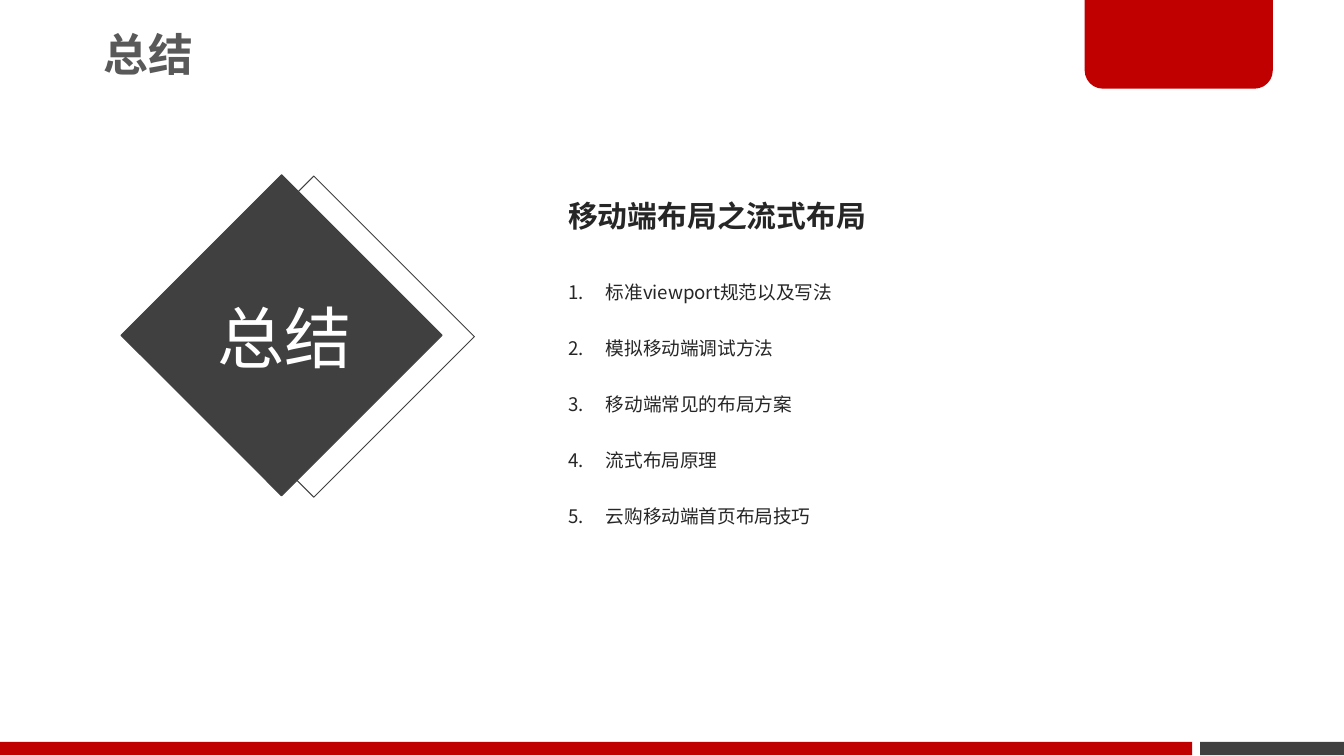
"""Build the summary slide on fluid layout for mobile pages."""
import dataclasses

import lxml.etree
import pptx
import pptx.dml.color
import pptx.enum.shapes
import pptx.enum.text
import pptx.oxml.ns
import pptx.util

Inches = pptx.util.Inches
SHAPE = pptx.enum.shapes.MSO_SHAPE
ALIGN = pptx.enum.text.PP_ALIGN
ANCHOR = pptx.enum.text.MSO_ANCHOR


@dataclasses.dataclass(frozen=True)
class Theme:
    font: str = "Noto Sans CJK SC"
    red: str = "C00000"
    dark: str = "404040"
    gray: str = "595959"
    ink: str = "262626"
    white: str = "FFFFFF"
    title: float = 24
    badge: float = 36
    heading: float = 16
    body: float = 10
    hairline: float = 0.5


def rgb(value):
    return pptx.dml.color.RGBColor.from_string(value)


def child(parent, tag, **attributes):
    return lxml.etree.SubElement(parent, pptx.oxml.ns.qn(tag), **attributes)


def write(p, text, *, font, size, color, bold=False, align=ALIGN.LEFT, spacing=1.0):
    p.alignment = align
    p.line_spacing = spacing
    r = p.add_run()
    r.text = text
    r.font.size = pptx.util.Pt(size)
    r.font.bold = bold
    r.font.color.rgb = rgb(color)
    r.font.name = font
    child(r.font._element, "a:ea", typeface=font)


class SlideBuilder:
    def __init__(self, slide, theme):
        self.s = slide
        self.theme = theme

    def shape(self, kind, x, y, w, h, fill=None, line=None, rotation=0):
        sp = self.s.shapes.add_shape(kind, Inches(x), Inches(y), Inches(w), Inches(h))
        sp.shadow.inherit = False
        sp.rotation = rotation
        if fill:
            sp.fill.solid()
            sp.fill.fore_color.rgb = rgb(fill)
        else:
            sp.fill.background()
        if line:
            sp.line.color.rgb = rgb(line)
            sp.line.width = pptx.util.Pt(self.theme.hairline)
        else:
            sp.line.fill.background()
        return sp

    def tab(self, x, y, w, h, fill):
        sp = self.shape(SHAPE.ROUND_2_SAME_RECTANGLE, x, y, w, h, fill, rotation=180)
        sp.adjustments[0] = 0.2

    def diamond(self, x, y, side, fill=None):
        self.shape(SHAPE.RECTANGLE, x, y, side, side, fill, self.theme.dark, 45)

    def frame(self, x, y, w, h, anchor=ANCHOR.TOP, inset=(0.1, 0.05)):
        tf = self.s.shapes.add_textbox(Inches(x), Inches(y), Inches(w), Inches(h)).text_frame
        tf.word_wrap = True
        tf.vertical_anchor = anchor
        tf.margin_left = tf.margin_right = Inches(inset[0])
        tf.margin_top = tf.margin_bottom = Inches(inset[1])
        return tf

    def label(self, text, x, y, w, h, size, color, anchor=ANCHOR.TOP, inset=(0.1, 0.05), **style):
        tf = self.frame(x, y, w, h, anchor, inset)
        write(tf.paragraphs[0], text, font=self.theme.font, size=size, color=color, **style)

    def numbered_list(self, items, x, y, w, h, indent=0.28):
        tf = self.frame(x, y, w, h)
        for i, item in enumerate(items):
            p = tf.add_paragraph() if i else tf.paragraphs[0]
            write(p, item, font=self.theme.font, size=self.theme.body,
                  color=self.theme.ink, spacing=2.5)
            pPr = p._p.get_or_add_pPr()
            pPr.set("marL", str(Inches(indent)))
            pPr.set("indent", str(-Inches(indent)))
            child(child(pPr, "a:buClr"), "a:srgbClr", val=self.theme.ink)
            child(pPr, "a:buFont", typeface=self.theme.font)
            child(pPr, "a:buAutoNum", type="arabicPeriod")


def main():
    prs = pptx.Presentation()
    prs.slide_width, prs.slide_height = Inches(10), Inches(10 * 9 / 16)
    theme = Theme()
    b = SlideBuilder(prs.slides.add_slide(prs.slide_layouts[6]), theme)

    b.shape(SHAPE.RECTANGLE, 8.93, 5.52, 1.07, 0.1, theme.dark)
    b.tab(8.07, -0.02, 1.4, 0.68, theme.red)
    b.shape(SHAPE.RECTANGLE, 0, 5.52, 8.87, 0.1, theme.red)

    centred = dict(anchor=ANCHOR.MIDDLE, inset=(0.08, 0.04), spacing=0.9)
    b.label("总结", 0.69, -0.02, 4.31, 0.89, theme.title, theme.gray, bold=True, **centred)
    b.diamond(1.49, 1.66, 1.69)
    b.diamond(1.25, 1.65, 1.69, theme.dark)
    b.label("总结", 0.02, 2.1, 4.19, 0.89, theme.badge, theme.white,
            align=ALIGN.CENTER, **centred)

    b.label("移动端布局之流式布局", 4.13, 1.42, 3.86, 0.37, theme.heading, theme.ink, bold=True)
    b.numbered_list(
        ["标准viewport规范以及写法", "模拟移动端调试方法", "移动端常见的布局方案",
         "流式布局原理", "云购移动端首页布局技巧"],
        4.13, 1.79, 3.78, 2.19)

    prs.save("out.pptx")


if __name__ == "__main__":
    main()
